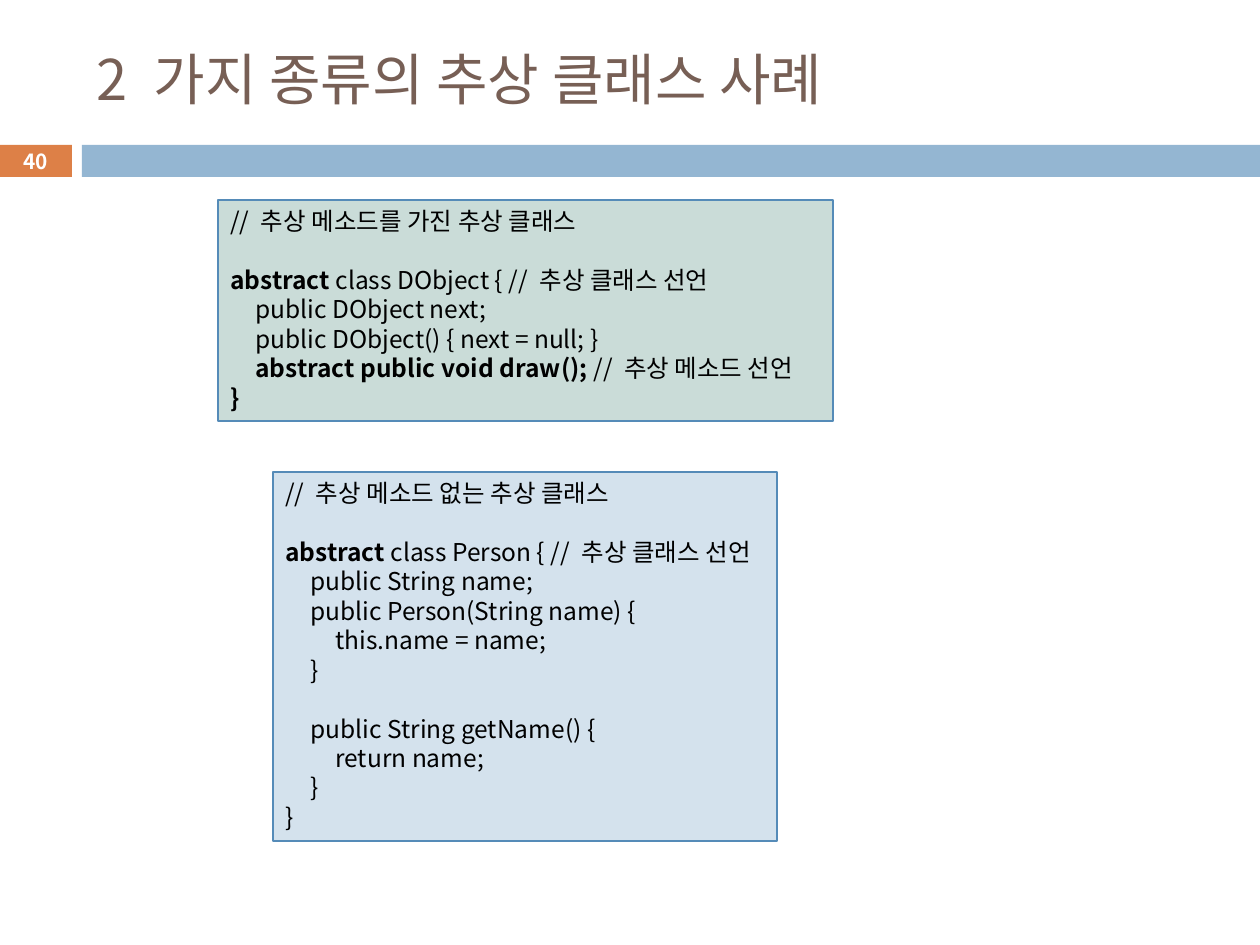
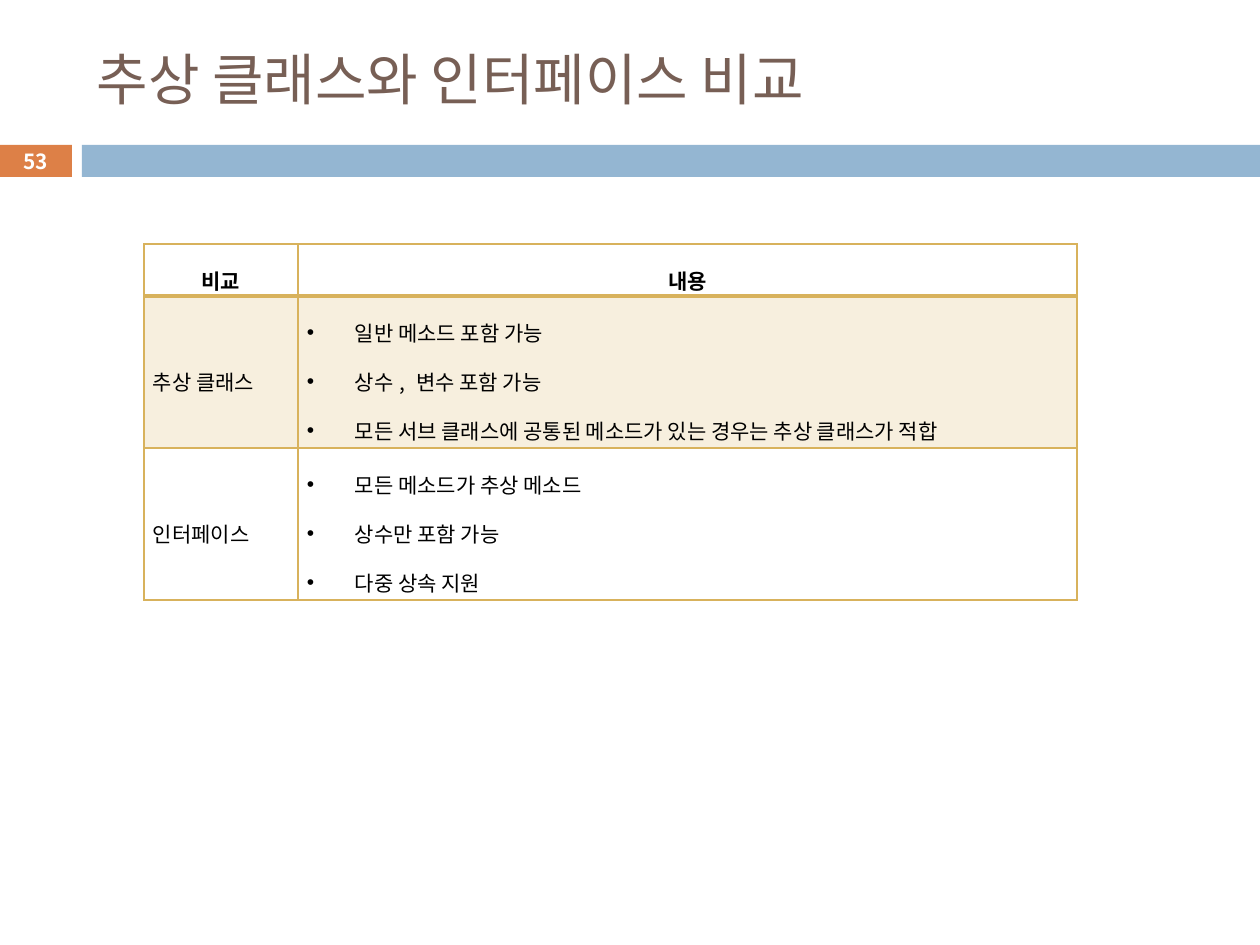
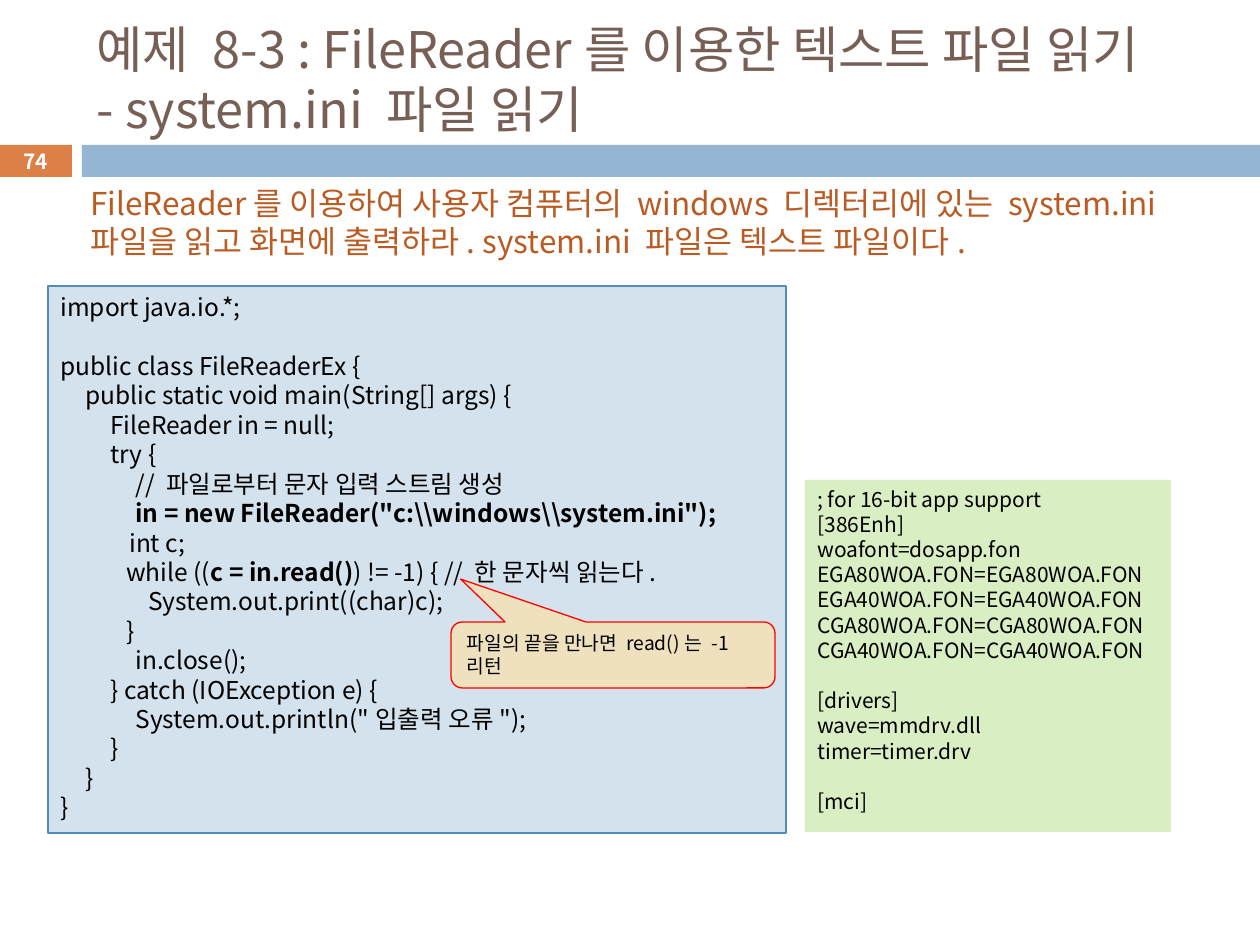
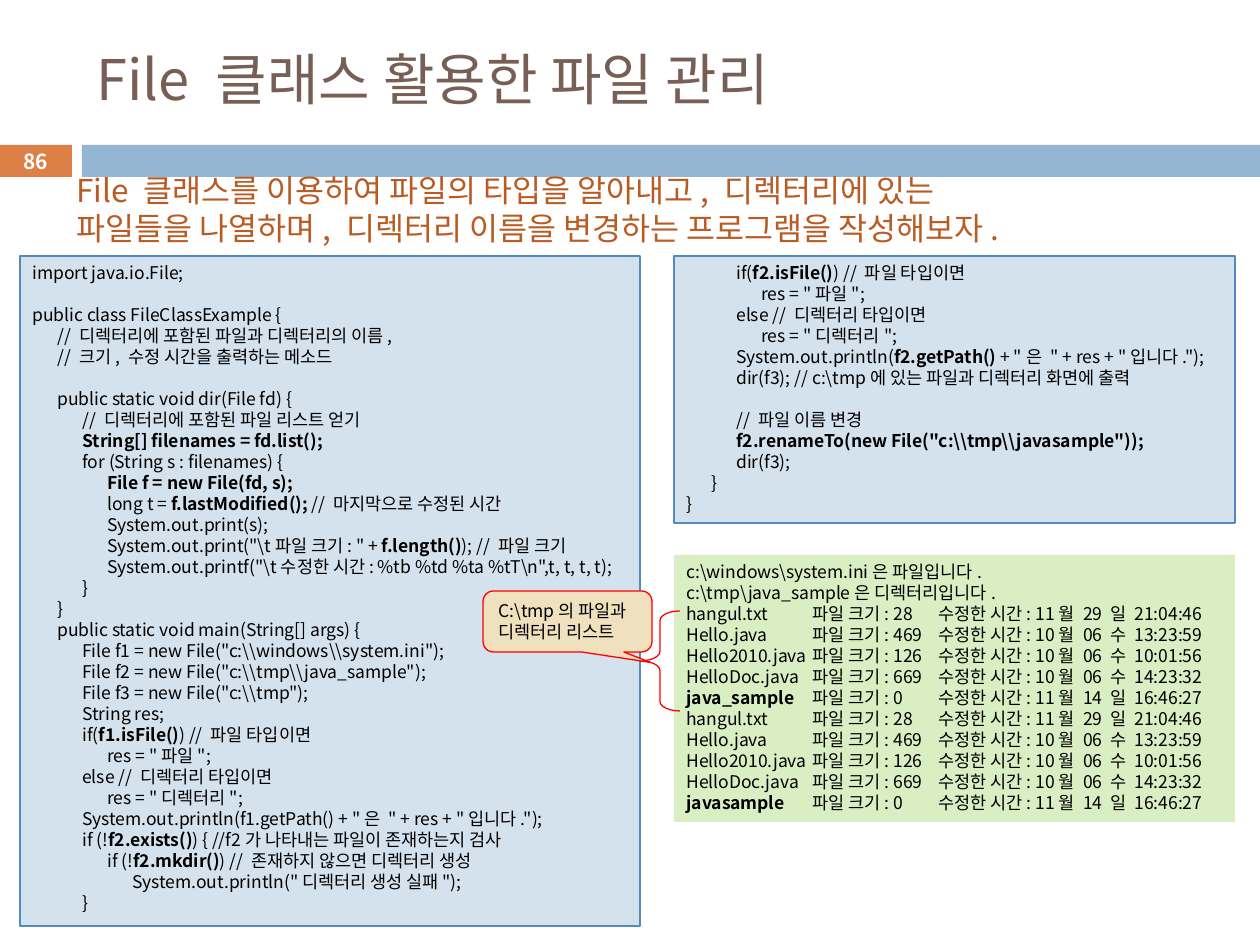
import pptx
import pptx.dml.color
import pptx.enum.shapes
import pptx.enum.text
import pptx.oxml
import pptx.oxml.ns
import pptx.util

PX_PER_INCH = 126
FONT = "Noto Sans CJK KR"
LINE_RATIO = 1.2
COLORS = {
    "title": "775F55", "number_band": "DD8047", "band": "94B6D2",
    "text": "000000", "white": "FFFFFF", "lead": "B95B22",
    "code": "D4E2ED", "code_green": "CADCD8", "code_line": "558BB8",
    "output": "DAEEC4", "callout": "EFE0BE", "red": "FF0000", "table": "D8B25C",
}
TITLE_BOX = (84, 32, 1124, 93)
NUMBER_BAND = (-1, 145, 73, 32)
TITLE_BAND = (82, 145, 1178, 32)
CODE_TAB = 25
CODE_TAB_COUNT = 4

SHAPES = pptx.enum.shapes.MSO_SHAPE
ALIGN = pptx.enum.text.PP_ALIGN
ANCHOR = pptx.enum.text.MSO_ANCHOR

DOBJECT_CODE = """// 추상 메소드를 가진 추상 클래스

**abstract **class DObject { // 추상 클래스 선언
	public DObject next;
	public DObject() { next = null; }
	**abstract public void draw(); **// 추상 메소드 선언
**}**"""

PERSON_CODE = """// 추상 메소드 없는 추상 클래스

**abstract **class Person { // 추상 클래스 선언
	public String name;
	public Person(String name) {
		this.name = name;
	}

	public String getName() {
		return name;
	}
}"""

READER_CODE = r"""import java.io.*;

public class FileReaderEx {
	public static void main(String[] args) {
		FileReader in = null;
		try {
			// 파일로부터 문자 입력 스트림 생성
			**in = new FileReader("c:\\windows\\system.ini");**
	        int c;
            while ((**c = in.read()**) != -1) { // 한 문자씩 읽는다.
                System.out.print((char)c);
            }
			in.close();
		} catch (IOException e) {
			System.out.println("입출력 오류");
		}
	}
}"""

SYSTEM_INI = """; for 16-bit app support
[386Enh]
woafont=dosapp.fon
EGA80WOA.FON=EGA80WOA.FON
EGA40WOA.FON=EGA40WOA.FON
CGA80WOA.FON=CGA80WOA.FON
CGA40WOA.FON=CGA40WOA.FON

[drivers]
wave=mmdrv.dll
timer=timer.drv

[mci]"""

DIR_METHOD = r"""import java.io.File;

public class FileClassExample {
	// 디렉터리에 포함된 파일과 디렉터리의 이름,
	// 크기, 수정 시간을 출력하는 메소드

	public static void dir(File fd) {
		// 디렉터리에 포함된 파일 리스트 얻기
		**String[] filenames = fd.list();**
		for (String s : filenames) {
			**File f = new File(fd, s);**
			long t = **f.lastModified(); **// 마지막으로 수정된 시간
			System.out.print(s);
			System.out.print("\t파일 크기: " + **f.length()**); // 파일 크기
			System.out.printf("\t수정한 시간: %tb %td %ta %tT\n",t, t, t, t);
		}
	}"""

MAIN_METHOD = r"""	public static void main(String[] args) {
		File f1 = new File("c:\\windows\\system.ini");
		File f2 = new File("c:\\tmp\\java_sample");
		File f3 = new File("c:\\tmp");
		String res;
		if(**f1.isFile()**) // 파일 타입이면
			res = "파일";
		else // 디렉터리 타입이면
			res = "디렉터리";
		System.out.println(f1.getPath() + "은 " + res + "입니다.");
		if (!**f2.exists()**) { //f2가 나타내는 파일이 존재하는지 검사
			if (!**f2.mkdir()**) // 존재하지 않으면 디렉터리 생성
				System.out.println("디렉터리 생성 실패");
		}"""

MAIN_METHOD_END = r"""		if(**f2.isFile()**) // 파일 타입이면
			res = "파일";
		else // 디렉터리 타입이면
			res = "디렉터리";
		System.out.println(**f2.getPath()** + "은 " + res + "입니다.");
		dir(f3); // c:\tmp에 있는 파일과 디렉터리 화면에 출력

		// 파일 이름 변경
		**f2.renameTo(new File("c:\\tmp\\javasample"));**
		dir(f3);
	}
}"""

LISTED_FILES = [
    ("hangul.txt", 28, "11월 29 일 21:04:46"),
    ("Hello.java", 469, "10월 06 수 13:23:59"),
    ("Hello2010.java", 126, "10월 06 수 10:01:56"),
    ("HelloDoc.java", 669, "10월 06 수 14:23:32"),
]

COMPARISON = [
    ("추상 클래스", ["일반 메소드 포함 가능", "상수, 변수 포함 가능",
                "모든 서브 클래스에 공통된 메소드가 있는 경우는 추상 클래스가 적합"]),
    ("인터페이스", ["모든 메소드가 추상 메소드", "상수만 포함 가능", "다중 상속 지원"]),
]


def px(length):
    return pptx.util.Emu(round(length * 914400 / PX_PER_INCH))


def place(box):
    return [px(length) for length in box]


def rgb(name):
    return pptx.dml.color.RGBColor.from_string(COLORS[name])


def set_all(target, values):
    for key, value in values.items():
        setattr(target, key, value)


def drawingml(tag, **attributes):
    element = pptx.oxml.parse_xml(f"<a:{tag} {pptx.oxml.ns.nsdecls('a')}/>")
    for key, value in attributes.items():
        element.set(key, str(value))
    return element


def add_tab_stops(paragraph):
    stops = drawingml("tabLst")
    for level in range(1, CODE_TAB_COUNT + 1):
        stops.append(drawingml("tab", pos=px(CODE_TAB * level), algn="l"))
    paragraph._p.get_or_add_pPr().append(stops)


def add_bullet(paragraph, indent):
    properties = paragraph._p.get_or_add_pPr()
    properties.set("marL", str(px(indent)))
    properties.set("indent", str(-px(indent)))
    properties.append(drawingml("buFont", typeface="Arial"))
    properties.append(drawingml("buChar", char="•"))


def add_run(paragraph, text, size, color, bold):
    run = paragraph.add_run()
    run.text = text
    set_all(run.font, {"size": pptx.util.Pt(size), "bold": bold, "name": FONT})
    run.font.color.rgb = rgb(color)
    run._r.get_or_add_rPr().append(drawingml("ea", typeface=FONT))


def write(frame, text, size, color="text", bold=False, align=ALIGN.LEFT,
          anchor=ANCHOR.TOP, spacing=None, tabs=False, bullet_indent=0):
    set_all(frame, {"word_wrap": True, "vertical_anchor": anchor})
    for index, line in enumerate(text.split("\n")):
        paragraph = frame.paragraphs[0] if index == 0 else frame.add_paragraph()
        set_all(paragraph, {
            "alignment": align,
            "space_before": pptx.util.Pt(0),
            "line_spacing": spacing or pptx.util.Pt(round(size * LINE_RATIO, 1)),
        })
        if bullet_indent:
            add_bullet(paragraph, bullet_indent)
        if tabs:
            add_tab_stops(paragraph)
        for part, marked in enumerate(line.split("**")):
            for row, piece in enumerate(marked.split("\v")):
                if row:
                    paragraph.add_line_break()
                if piece:
                    add_run(paragraph, piece, size, color, bold or part % 2 == 1)


def add_panel(slide, box, fill=None, line=None, kind=SHAPES.RECTANGLE, adjustments=()):
    panel = slide.shapes.add_shape(kind, *place(box))
    panel.shadow.inherit = False
    if fill:
        panel.fill.solid()
        panel.fill.fore_color.rgb = rgb(fill)
    else:
        panel.fill.background()
    if line:
        panel.line.color.rgb = rgb(line)
        panel.line.width = pptx.util.Pt(0.75)
    else:
        panel.line.fill.background()
    for index, value in enumerate(adjustments):
        panel.adjustments[index] = value
    return panel


def add_code(slide, box, code, size, fill="code"):
    panel = add_panel(slide, box, fill, "code_line")
    write(panel.text_frame, code, size, tabs=True)


def add_output(slide, box, output, size):
    write(add_panel(slide, box, "output").text_frame, output, size)


def add_callout(slide, box, text, size, tip):
    callout = add_panel(slide, box, "callout", "red",
                        SHAPES.ROUNDED_RECTANGULAR_CALLOUT, (*tip, 0.17))
    write(callout.text_frame, text, size)


def add_lead(slide, box, text):
    lead = slide.shapes.add_textbox(*place(box))
    write(lead.text_frame, text, 18, "lead")


def add_layout_bands(slide):
    tree = slide.slide_layout.element.cSld.spTree
    bands = {"number_band": NUMBER_BAND, "band": TITLE_BAND}
    for shape_id, (color, box) in enumerate(bands.items(), 20):
        band = add_panel(slide, box, color).element
        band.nvSpPr.cNvPr.set("id", str(shape_id))
        tree.append(band)


def add_titled_slide(deck, title, number, title_size=32):
    slide = deck.slides.add_slide(deck.slide_layouts[5])
    heading = slide.shapes.title
    set_all(heading, dict(zip(("left", "top", "width", "height"), place(TITLE_BOX))))
    heading.text_frame.auto_size = pptx.enum.text.MSO_AUTO_SIZE.NONE
    write(heading.text_frame, title, title_size, "title", anchor=ANCHOR.MIDDLE)
    page = slide.shapes.add_textbox(*place(NUMBER_BAND))
    write(page.text_frame, str(number), 11.9, "white", True, ALIGN.CENTER, ANCHOR.MIDDLE)
    return slide


def set_borders(cell, widths):
    properties = cell._tc.get_or_add_tcPr()
    for index, (side, width) in enumerate(widths.items()):
        border = drawingml(side, w=pptx.util.Pt(width))
        fill = drawingml("solidFill")
        fill.append(drawingml("srgbClr", val=COLORS["table"]))
        border.append(fill)
        properties.insert(index, border)


def format_cell(cell, text, header=False, tinted=False, bullet_indent=0):
    write(cell.text_frame, text, 12, bold=header,
          align=ALIGN.CENTER if header else ALIGN.JUSTIFY,
          anchor=None, spacing=1.6, bullet_indent=bullet_indent)
    set_all(cell, {"margin_left": px(9), "margin_right": px(9),
                   "margin_top": px(3), "margin_bottom": px(3),
                   "vertical_anchor": ANCHOR.MIDDLE})
    if tinted:
        cell.fill.solid()
        cell.fill.fore_color.rgb = rgb("table")
        tint = cell._tc.tcPr.find(".//" + pptx.oxml.ns.qn("a:srgbClr"))
        tint.append(drawingml("alpha", val=20000))
    else:
        cell.fill.background()
    top = 2 if tinted else 1
    set_borders(cell, {"lnL": 1, "lnR": 1, "lnT": top, "lnB": 2 if header else 1})


def add_comparison(slide, left, top, column_widths, row_heights):
    box = (left, top, sum(column_widths), sum(row_heights))
    table = slide.shapes.add_table(len(row_heights), len(column_widths), *place(box)).table
    set_all(table, {"first_row": False, "horz_banding": False})
    for column, width in zip(table.columns, column_widths):
        column.width = px(width)
    for row, height in zip(table.rows, row_heights):
        row.height = px(height)
    for column, heading in enumerate(("비교", "내용")):
        format_cell(table.cell(0, column), heading, header=True)
    for row, (subject, features) in enumerate(COMPARISON, 1):
        tinted = row % 2 == 1
        format_cell(table.cell(row, 0), subject, tinted=tinted)
        format_cell(table.cell(row, 1), "\n".join(features), tinted=tinted, bullet_indent=48)


def directory_listing(folder):
    rows = LISTED_FILES + [(f"**{folder}**", 0, "11월 14 일 16:46:27")]
    return [f"{name}\t파일 크기: {size}\t수정한 시간: {time}" for name, size, time in rows]


def build_abstract_examples(deck):
    slide = add_titled_slide(deck, "2 가지 종류의 추상 클래스 사례", 40)
    add_layout_bands(slide)
    add_code(slide, (218, 200, 615, 221), DOBJECT_CODE, 14, "code_green")
    add_code(slide, (273, 472, 504, 369), PERSON_CODE, 14)


def build_comparison(deck):
    slide = add_titled_slide(deck, "추상 클래스와 인터페이스 비교", 53)
    add_comparison(slide, 144, 244, (154, 779), (52, 152, 152))


def build_file_reader(deck):
    slide = add_titled_slide(
        deck, "예제 8-3 : FileReader를 이용한 텍스트 파일 읽기\v- system.ini 파일 읽기", 74, 28.8)
    add_code(slide, (48, 286, 738, 547), READER_CODE, 14)
    add_lead(slide, (78, 178, 1124, 111),
             "FileReader를 이용하여 사용자 컴퓨터의 windows 디렉터리에 있는 system.ini "
             "파일을 읽고 화면에 출력하라. system.ini 파일은 텍스트 파일이다.")
    add_output(slide, (805, 480, 366, 352), SYSTEM_INI, 12)
    add_callout(slide, (451, 622, 324, 66), "파일의 끝을 만나면 read()는 -1 리턴", 11, (-0.47, -1.15))


def build_file_class(deck):
    slide = add_titled_slide(deck, "File 클래스 활용한 파일 관리", 86)
    add_code(slide, (20, 256, 620, 670), "\n".join((DIR_METHOD, MAIN_METHOD)), 10)
    add_code(slide, (674, 256, 561, 267), MAIN_METHOD_END, 10)
    add_lead(slide, (64, 165, 1028, 89),
             "File 클래스를 이용하여 파일의 타입을 알아내고, 디렉터리에 있는\n"
             "파일들을 나열하며, 디렉터리 이름을 변경하는 프로그램을 작성해보자.")
    messages = [r"c:\windows\system.ini은 파일입니다.", r"c:\tmp\java_sample은 디렉터리입니다."]
    listing = directory_listing("java_sample") + directory_listing("javasample")
    add_output(slide, (674, 555, 561, 267), "\n".join(messages + listing), 10)
    add_panel(slide, (640, 611, 40, 100), line="red", kind=SHAPES.LEFT_BRACE,
              adjustments=(0.24, 0.5))
    add_callout(slide, (483, 591, 169, 61), "C:\\tmp의 파일과\n디렉터리 리스트", 10, (0.49, 0.67))


def main():
    deck = pptx.Presentation()
    set_all(deck, {"slide_width": px(1260), "slide_height": px(945)})
    for build in (build_abstract_examples, build_comparison, build_file_reader, build_file_class):
        build(deck)
    deck.save("out.pptx")


if __name__ == "__main__":
    main()
